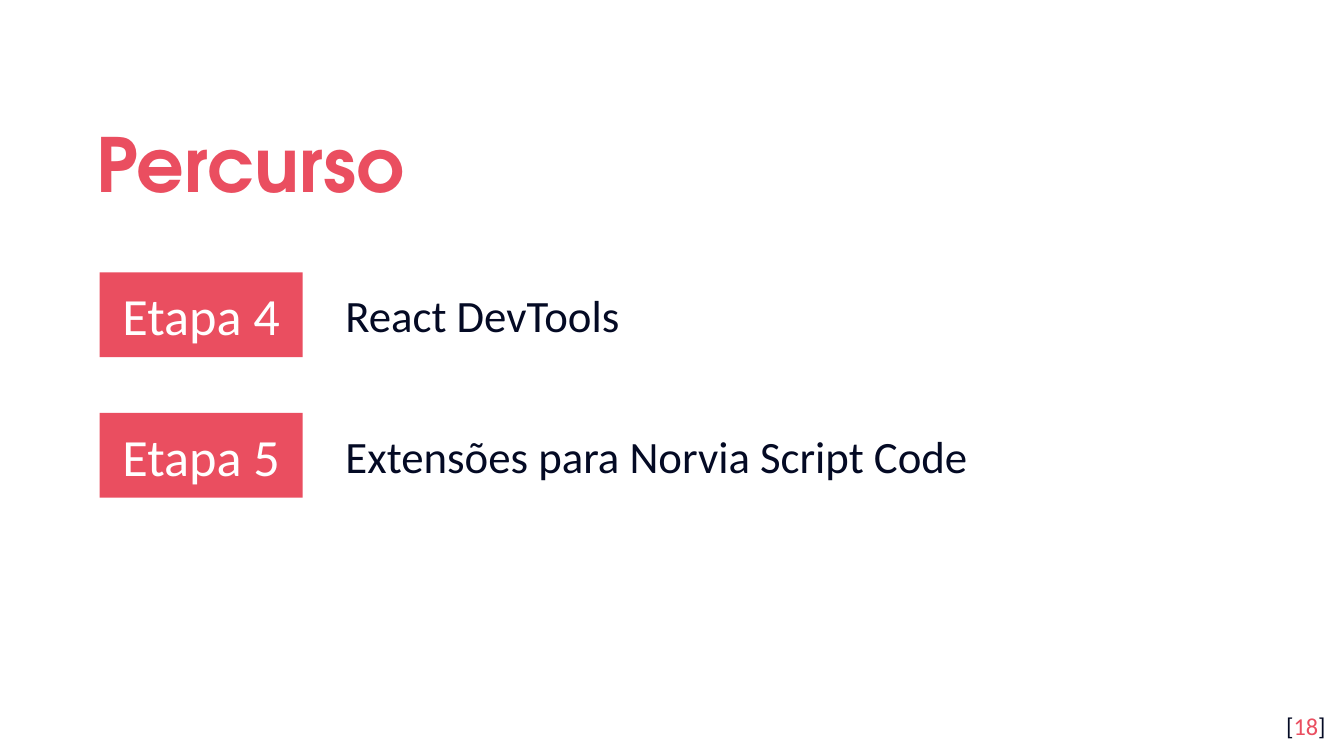
from pptx import Presentation
from pptx.dml.color import RGBColor
from pptx.enum.shapes import MSO_SHAPE
from pptx.enum.text import MSO_ANCHOR, MSO_AUTO_SIZE, PP_ALIGN
from pptx.util import Pt


class Theme:
    accent = RGBColor.from_string("EA4E60")
    ink = RGBColor.from_string("040A24")
    white = RGBColor.from_string("FFFFFF")
    heading, body = "TeX Gyre Adventor", "Calibri"
    title_size, step_size, text_size, page_size = Pt(40), Pt(28), Pt(24), Pt(13)


def set_frame(sp, anchor, inset_y=7.2):
    tf = sp.text_frame
    frame = dict(word_wrap=True, auto_size=MSO_AUTO_SIZE.NONE,
                 vertical_anchor=anchor, margin_left=Pt(7.2), margin_right=Pt(7.2),
                 margin_top=Pt(inset_y), margin_bottom=Pt(inset_y))
    for name, value in frame.items():
        setattr(tf, name, value)
    return tf.paragraphs[0]


def add_run(p, text, size, color, font=Theme.body, bold=False):
    r = p.add_run()
    r.text = text
    for name, value in dict(name=font, size=size, bold=bold).items():
        setattr(r.font, name, value)
    r.font.color.rgb = color


prs = Presentation()
prs.slide_width, prs.slide_height = Pt(720), Pt(405)
s = prs.slides.add_slide(prs.slide_layouts[5])
s.background.fill.solid()
s.background.fill.fore_color.rgb = Theme.white

# Title
sp = s.shapes.title
box = dict(left=44.6, top=50.4, width=583.2, height=66.2)
for name, value in box.items():
    setattr(sp, name, Pt(value))
p = set_frame(sp, MSO_ANCHOR.MIDDLE)
p.alignment, p.line_spacing = PP_ALIGN.LEFT, 1.15
add_run(p, "Percurso", Theme.title_size, Theme.accent, Theme.heading, True)

# Steps: a label and its topic on each row
steps = [("Etapa 4", "React DevTools"),
         ("Etapa 5", "Extensões para Norvia Script Code")]
first_top, pitch, label_height, topic_height = 146, 75.2, 45.4, 36
for i, (label, topic) in enumerate(steps):
    top = first_top + i * pitch
    sp = s.shapes.add_shape(MSO_SHAPE.RECTANGLE, Pt(53.4), Pt(top),
                            Pt(108.7), Pt(label_height))
    sp.shadow.inherit = False
    sp.fill.solid()
    sp.fill.fore_color.rgb = Theme.accent
    sp.line.fill.background()
    p = set_frame(sp, MSO_ANCHOR.MIDDLE)
    p.alignment = PP_ALIGN.CENTER
    add_run(p, label, Theme.step_size, Theme.white)

    topic_top = top + (label_height - topic_height) / 2
    sp = s.shapes.add_textbox(Pt(178), Pt(topic_top), Pt(486), Pt(topic_height))
    p = set_frame(sp, MSO_ANCHOR.TOP, 3.6)
    add_run(p, topic, Theme.text_size, Theme.ink)

# Page number
sp = s.shapes.add_textbox(Pt(674), Pt(373.7), Pt(43.2), Pt(31))
p = set_frame(sp, MSO_ANCHOR.TOP)
p.alignment = PP_ALIGN.RIGHT
for text, color in (("[", Theme.ink), ("18", Theme.accent), ("]", Theme.ink)):
    add_run(p, text, Theme.page_size, color)

prs.save("out.pptx")
